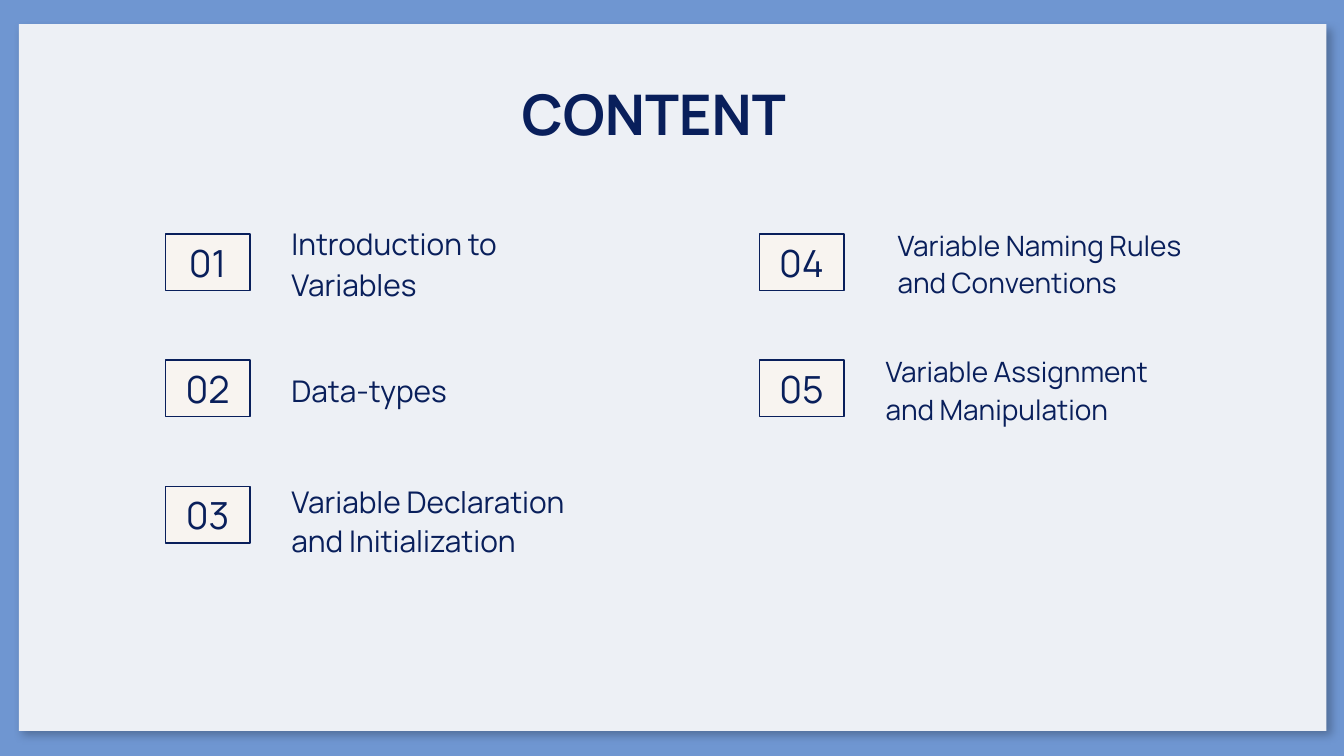
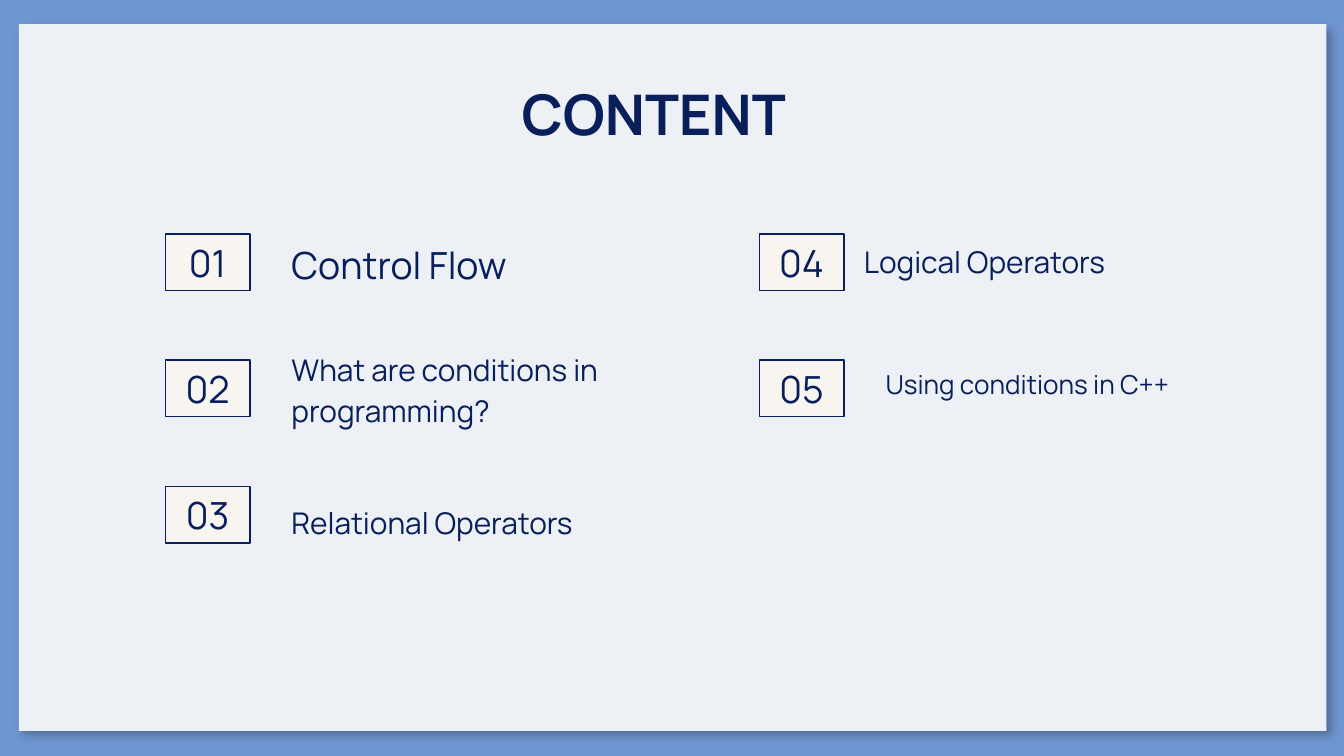
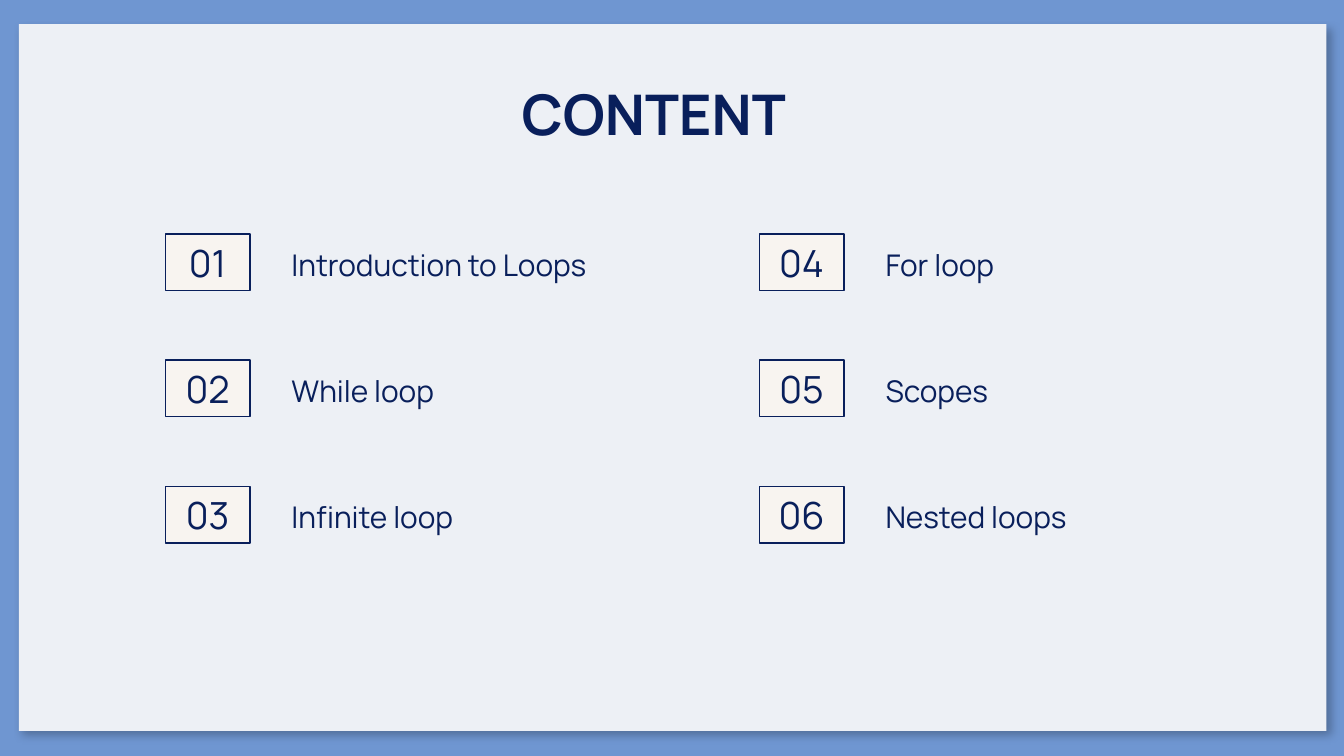
from lxml import etree
from pptx import Presentation
from pptx import util as u
from pptx.dml import color
from pptx.enum import shapes, text
from pptx.oxml import ns

COLOURS = {"border": "6F96D1", "panel": "EDF0F5", "badge": "F8F4F0",
           "ink": "091F5B", "shadow": "000000"}
FONT = "Manrope"
TITLE = "CONTENT"
ROWS = 3

WIDE = {"left": 6.33, "top": 1.62, "width": 2.84, "height": 0.66}
AGENDAS = [
    [
        ("Introduction to Variables", {}),
        ("Data-types", {}),
        ("Variable Declaration and Initialization", {"top": 3.62, "spacing": 1.1}),
        ("Variable Naming Rules and Conventions",
         {**WIDE, "size": 15, "spacing": 1.1, "indent": 0.25}),
        ("Variable Assignment and Manipulation", {"size": 15}),
    ],
    [
        ("Control Flow", {"size": 20}),
        ("What are conditions in programming?", {}),
        ("Relational Operators", {"top": 3.62}),
        ("Logical Operators", {**WIDE, "spacing": 1}),
        ("Using conditions in C++",
         {"size": 14, "spacing": 1, "anchor": text.MSO_ANCHOR.TOP}),
    ],
    [
        ("Introduction to Loops", {}),
        ("While loop", {}),
        ("Infinite loop", {}),
        ("For loop", {}),
        ("Scopes", {}),
        ("Nested loops", {}),
    ],
]

PANEL = {"left": 0.14, "top": 0.18, "width": 9.73, "height": 5.26}
HEADING = {"left": 2.53, "top": 0.23, "width": 4.67, "height": 1.23}
BADGE = {"left": 1.23, "top": 1.74, "width": 0.63, "height": 0.42}
LABEL = {"left": 2.07, "top": 1.7, "width": 2.52, "height": 0.49,
         "size": 16, "spacing": 1.15}
COLUMN_STEP, ROW_STEP = 4.42, 0.94


def rgb(name):
    return color.RGBColor.from_string(COLOURS[name])


def inches(place):
    return [u.Inches(place[side]) for side in ("left", "top", "width", "height")]


def write(box, words, size, bold=False, align=text.PP_ALIGN.CENTER, spacing=1,
          indent=0, anchor=text.MSO_ANCHOR.MIDDLE):
    frame = box.text_frame
    margins = {f"margin_{side}": u.Inches(0.1)
               for side in ("left", "top", "right", "bottom")}
    for name, value in {**margins, "word_wrap": True, "vertical_anchor": anchor}.items():
        setattr(frame, name, value)
    paragraph = frame.paragraphs[0]
    paragraph.alignment = align
    paragraph.line_spacing = spacing
    if indent:
        properties = paragraph._p.get_or_add_pPr()
        properties.set("marL", str(u.Inches(indent)))
        properties.set("indent", "0")
    run = paragraph.add_run()
    run.text = words
    for name, value in {"name": FONT, "size": u.Pt(size), "bold": bold}.items():
        setattr(run.font, name, value)
    run.font.color.rgb = rgb("ink")


def add_rectangle(slide, place, fill):
    rectangle = slide.shapes.add_shape(shapes.MSO_SHAPE.RECTANGLE, *inches(place))
    rectangle.shadow.inherit = False
    rectangle.fill.solid()
    rectangle.fill.fore_color.rgb = rgb(fill)
    return rectangle


def add_panel(slide):
    panel = add_rectangle(slide, PANEL, "panel")
    panel.line.fill.background()
    effects = panel._element.spPr.find(ns.qn("a:effectLst"))
    shadow = etree.SubElement(
        effects, ns.qn("a:outerShdw"), blurRad=str(u.Pt(4.5)), dist=str(u.Pt(3.8)),
        dir=str(50 * 60000), algn="bl", rotWithShape="0")
    tint = etree.SubElement(shadow, ns.qn("a:srgbClr"), val=COLOURS["shadow"])
    etree.SubElement(tint, ns.qn("a:alpha"), val="25000")


def add_topic(slide, index, topic, changes):
    column, row = divmod(index, ROWS)

    def in_grid(place):
        return {**place, "left": place["left"] + column * COLUMN_STEP,
                "top": place["top"] + row * ROW_STEP}

    badge = add_rectangle(slide, in_grid(BADGE), "badge")
    badge.line.color.rgb = rgb("ink")
    badge.line.width = u.Pt(0.75)
    write(badge, f"{index + 1:02}", 20)

    label = {**in_grid(LABEL), **changes}
    style = {name: value for name, value in label.items()
             if name in ("size", "spacing", "indent", "anchor")}
    write(slide.shapes.add_textbox(*inches(label)), topic,
          align=text.PP_ALIGN.LEFT, **style)


def add_agenda(deck, topics):
    slide = deck.slides.add_slide(deck.slide_layouts[6])
    slide.background.fill.solid()
    slide.background.fill.fore_color.rgb = rgb("border")
    add_panel(slide)
    write(slide.shapes.add_textbox(*inches(HEADING)), TITLE, 30, bold=True)
    for index, (topic, changes) in enumerate(topics):
        add_topic(slide, index, topic, changes)


def main():
    deck = Presentation()
    deck.slide_width = u.Inches(10)
    deck.slide_height = deck.slide_width * 9 // 16
    for topics in AGENDAS:
        add_agenda(deck, topics)
    deck.save("out.pptx")


if __name__ == "__main__":
    main()
